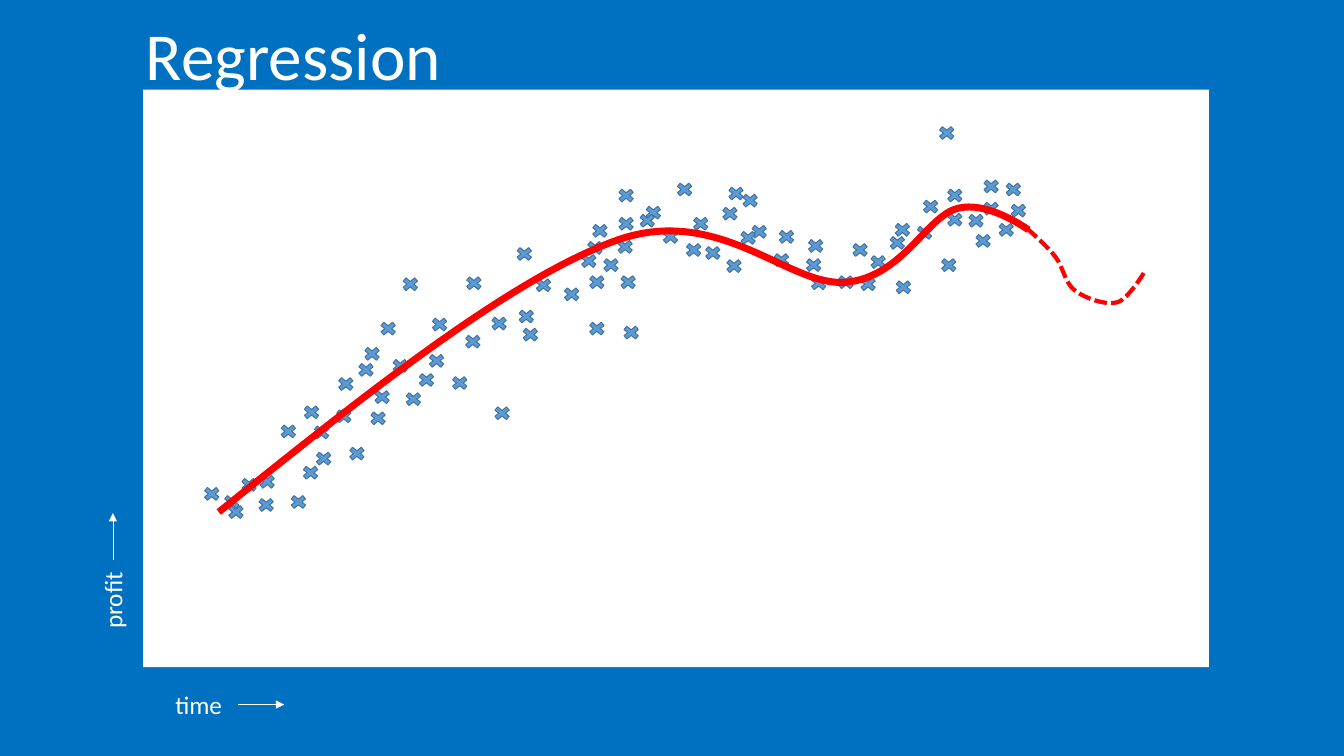
from pptx import Presentation
from pptx.dml.color import RGBColor
from pptx.enum.dml import MSO_LINE
from pptx.enum.shapes import MSO_CONNECTOR, MSO_SHAPE
from pptx.enum.text import MSO_AUTO_SIZE
from pptx.oxml.ns import qn
from pptx.util import Inches, Pt
from lxml.etree import SubElement

COLORS = {"back": "0070C0", "plot": "FFFFFF", "text": "FFFFFF",
          "marker": "5B9BD5", "marker_edge": "43739E", "curve": "FF0000"}
FONT = "Calibri"
PLOT = (1.42, 0.89, 10.57, 5.73)
MARKER_SIZE = (0.22, 0.18)

POINTS = [
    (2.36, 4.72), (2.53, 4.92), (2.23, 4.99), (2.85, 4.89), (2.19, 4.89), (1.99, 4.81),
    (9.36, 1.85), (9.12, 1.96), (7.98, 2.35), (9.72, 1.76), (9.72, 1.98), (8.79, 2.32),
    (8.84, 2.19), (7.96, 2.54), (9.36, 2.09), (9.99, 2.0), (3.08, 4.2), (2.54, 4.69),
    (8.28, 2.71), (3.3, 4.04), (2.97, 4.6), (2.75, 4.19), (3.43, 4.41), (7.19, 1.83),
    (6.37, 2.02), (6.1, 2.13), (5.81, 2.71), (6.1, 1.85), (5.79, 2.37), (7.17, 2.55),
    (9.87, 2.19), (7.64, 2.49), (9.94, 1.79), (7.69, 2.26), (9.57, 2.1), (9.06, 2.22),
    (3.68, 3.85), (6.84, 2.13), (3.32, 3.72), (3.1, 4.46), (4.22, 3.49), (6.77, 2.39),
    (8.01, 2.72), (3.52, 3.58), (6.31, 2.1), (8.5, 2.73), (6.54, 2.26), (3.99, 3.87),
    (7.33, 1.9), (8.42, 2.39), (8.6, 2.51), (2.98, 4.0), (7.13, 2.03), (4.45, 3.71),
    (4.58, 3.3), (4.84, 3.12), (5.73, 2.5), (3.64, 4.06), (7.42, 2.21), (7.31, 2.27),
    (3.58, 3.42), (6.09, 2.36), (5.15, 3.23), (5.56, 2.83), (6.96, 2.42), (4.12, 3.68),
    (4.25, 3.13), (5.11, 3.05), (3.86, 3.54), (5.09, 2.43), (5.95, 2.54), (6.12, 2.71),
    (6.68, 1.79), (5.28, 2.74), (5.84, 2.2), (4.59, 2.72), (4.87, 4.01), (3.74, 3.17),
    (9.64, 2.3), (8.85, 2.76), (9.28, 1.23), (9.3, 2.54), (3.96, 2.73), (5.81, 3.17),
    (6.15, 3.21),
]

FORECAST = [(10.19, 2.27),
            (10.29, 2.36), (10.39, 2.45), (10.47, 2.55),
            (10.55, 2.66), (10.56, 2.81), (10.67, 2.89),
            (10.77, 2.96), (10.96, 3.03), (11.08, 3.0),
            (11.19, 2.97), (11.35, 2.7), (11.35, 2.7)]
FIT = [(2.17, 5.08),
       (3.61, 3.92), (5.06, 2.77), (6.1, 2.39),
       (7.13, 2.01), (7.82, 2.85), (8.39, 2.8),
       (8.95, 2.75), (9.19, 2.15), (9.49, 2.07),
       (9.79, 1.98), (10.2, 2.28), (10.2, 2.28)]
CURVES = [
    (FORECAST, {"width": Pt(3), "dash_style": MSO_LINE.SQUARE_DOT}),
    (FIT, {"width": Pt(5)}),
]

LABELS = [
    ("time", (1.64, 6.79, 0.72, 0.4), 18, 0),
    ("profit", (0.73, 5.75, 0.77, 0.4), 18, 270),
    ("Regression", (1.35, 0.08, 3.16, 0.91), 48, 0),
]
ARROWS = [(2.36, 6.99, 2.82, 6.99), (1.12, 5.56, 1.12, 5.09)]


def rgb(name):
    return RGBColor.from_string(COLORS[name])


def inches(values):
    return [Inches(v) for v in values]


def apply(target, values):
    for name, value in values.items():
        setattr(target, name, value)


def add_preset(s, kind, box, fill, edge=None):
    sp = s.shapes.add_shape(kind, *inches(box))
    sp.shadow.inherit = False
    sp.fill.solid()
    sp.fill.fore_color.rgb = rgb(fill)
    if edge:
        sp.line.color.rgb = rgb(edge)
        sp.line.width = Pt(0.75)
    else:
        sp.line.fill.background()


def add_curve(s, points, line_format):
    pts = [inches(p) for p in points]
    builder = s.shapes.build_freeform(*pts[0])
    builder.add_line_segments(pts[3::3], close=False)
    sp = builder.convert_to_shape()
    sp.shadow.inherit = False
    sp.fill.background()
    sp.line.color.rgb = rgb("curve")
    apply(sp.line, line_format)
    segments = list(sp._element.iter(qn("a:lnTo")))
    for i, segment in enumerate(segments):
        bezier = segment.getparent().makeelement(qn("a:cubicBezTo"))
        for x, y in pts[3 * i + 1:3 * i + 4]:
            SubElement(bezier, qn("a:pt"), x=str(x - sp.left), y=str(y - sp.top))
        segment.getparent().replace(segment, bezier)


def add_label(s, text, box, size, rotation):
    sp = s.shapes.add_textbox(*inches(box))
    sp.rotation = rotation
    tf = sp.text_frame
    apply(tf, {"word_wrap": False, "auto_size": MSO_AUTO_SIZE.SHAPE_TO_FIT_TEXT})
    r = tf.paragraphs[0].add_run()
    r.text = text
    apply(r.font, {"name": FONT, "size": Pt(size)})
    r.font.color.rgb = rgb("text")


def add_arrow(s, ends):
    sp = s.shapes.add_connector(MSO_CONNECTOR.STRAIGHT, *inches(ends))
    sp.line.color.rgb = rgb("text")
    sp.line.width = Pt(0.5)
    SubElement(sp.line._get_or_add_ln(), qn("a:tailEnd"), type="triangle")
    SubElement(sp._element.spPr, qn("a:effectLst"))


def main():
    prs = Presentation()
    apply(prs, {"slide_width": Inches(13.33), "slide_height": Inches(7.5)})
    s = prs.slides.add_slide(prs.slide_layouts[6])
    s.background.fill.solid()
    s.background.fill.fore_color.rgb = rgb("back")
    add_preset(s, MSO_SHAPE.RECTANGLE, PLOT, "plot")
    for point in POINTS:
        add_preset(s, MSO_SHAPE.MATH_MULTIPLY, point + MARKER_SIZE, "marker", "marker_edge")
    for label in LABELS:
        add_label(s, *label)
    for ends in ARROWS:
        add_arrow(s, ends)
    for curve in CURVES:
        add_curve(s, *curve)
    prs.save("out.pptx")


if __name__ == "__main__":
    main()
